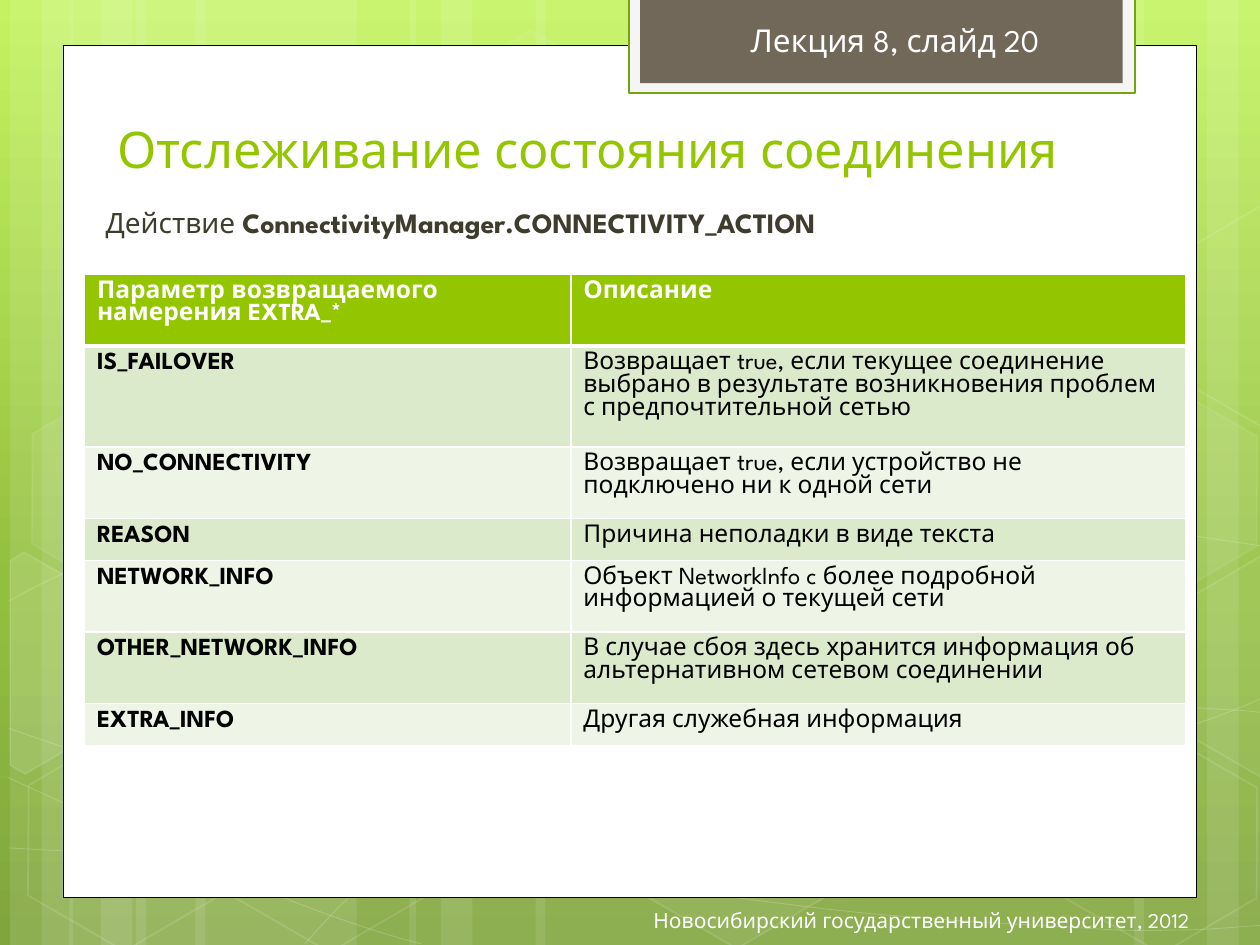
from lxml import etree
from copy import deepcopy
from math import cos, radians, sin
from pptx import Presentation
from pptx.dml.color import RGBColor
from pptx.enum.shapes import MSO_SHAPE
from pptx.enum.text import MSO_ANCHOR, PP_ALIGN
from pptx.oxml.ns import qn
from pptx.util import Inches, Pt

FONT = "League Spartan"
WHITE = RGBColor(0xFF, 0xFF, 0xFF)
BLACK = RGBColor(0, 0, 0)
LIME = RGBColor(0x94, 0xC6, 0x00)
FRAME_GREEN = RGBColor(0x74, 0xA5, 0x10)
TAG_GREY = RGBColor(0xF5, 0xF5, 0xF5)
TAG_BROWN = RGBColor(0x71, 0x68, 0x5A)
BODY_BROWN = RGBColor(0x3E, 0x3D, 0x2D)
BANDS = (RGBColor(0xDC, 0xEA, 0xCC), RGBColor(0xEE, 0xF5, 0xE7))
GRADIENT = ((0, RGBColor(0xC3, 0xF3, 0x5F)), (0.62, RGBColor(0x93, 0xBF, 0x3F)),
            (1, RGBColor(0x81, 0xA5, 0x3E)))

# left, width, rotation
STRIPES = ((1.08, 1.75, 0), (0.08, 0.5, 0), (0.33, 0.83, 0), (1.55, 1.75, 0), (0.55, 0.5, 0),
           (0.8, 0.83, 0), (7.33, 1.75, 180), (9.58, 0.5, 180), (9, 0.83, 180),
           (4.25, 3.08, 0), (3.25, 0.5, 0), (3.5, 0.83, 0))
# Each curve is a start point, then line segments (x, y) or Bezier segments (x1, y1, x2, y2, x, y).
CURVES = (
    ((0.07, 6.73), (0.61, 6.76, 1.15, 6.79, 1.9, 6.78), (2.65, 6.77, 3.58, 6.75, 4.58, 6.65),
     (5.58, 6.55, 7, 6.36, 7.92, 6.17), (8.83, 5.98, 9.77, 5.68, 10.07, 5.51)),
    ((0.07, 4.77), (0.36, 4.61, 0.65, 4.46, 1.21, 4.31), (1.78, 4.16, 2.59, 3.94, 3.47, 3.87),
     (4.36, 3.8, 5.44, 3.79, 6.54, 3.87), (7.64, 3.95, 9.47, 4.26, 10.07, 4.34)),
    ((0.06, 6.17), (1.27, 6.72, 2.47, 7.27, 3.34, 7.49)),
    ((0.07, 5.78), (0.38, 5.89, 0.7, 6, 1.28, 6.16), (1.86, 6.31, 2.73, 6.56, 3.57, 6.73),
     (4.4, 6.9, 5.45, 7.08, 6.28, 7.18), (7.11, 7.29, 8, 7.33, 8.53, 7.36),
     (9.05, 7.4, 9.19, 7.38, 9.45, 7.38), (9.71, 7.37, 9.89, 7.35, 10.07, 7.34)),
    ((2.42, 7.49), (2.6, 7.29, 2.78, 7.09, 3.02, 6.91), (3.26, 6.73, 3.6, 6.53, 3.88, 6.39),
     (4.16, 6.25, 4.33, 6.19, 4.7, 6.09), (5.06, 5.99, 5.73, 5.85, 6.08, 5.78),
     (6.44, 5.71, 6.49, 5.71, 6.8, 5.69), (7.11, 5.66, 7.6, 5.63, 7.94, 5.62),
     (8.29, 5.61, 8.86, 5.62, 8.86, 5.62), (9.53, 5.62),
     (9.71, 5.63, 9.88, 5.64, 9.97, 5.65), (10.06, 5.66, 10.03, 5.65, 10.06, 5.66)),
)
# left, top, fill opacity, line opacity
HEXAGONS = ((3.34, 0.36, 4, 8), (4.97, 5.89, 6, 12), (0.11, 5.91, 0, 12),
            (0.14, 3.12, 7, 8), (1.74, 5.92, 0, 12), (7.53, 4.53, 10, 12),
            (8.34, 5.93, 0, 12), (8.34, 3.14, 7, 8))
# centre of rotation, turned outline, fill opacity
CUT_HEXAGONS = (
    ((0.36, 5.35), ((0.08, 4.45), (0.19, 4.38), (0.96, 4.82), (0.95, 5.7), (0.2, 6.14),
                    (0.08, 6.07)), 10),
    ((9.85, 5.2), ((9.26, 4.85), (10.01, 4.41), (10.09, 4.46), (10.09, 6.13), (10.02, 6.17),
                   (9.26, 5.73)), 4),
    ((9.85, 2.41), ((9.26, 2.07), (10.01, 1.63), (10.1, 1.68), (10.09, 3.35), (10.02, 3.39),
                    (9.26, 2.95)), 0),
)
ROWS = (
    ("Параметр возвращаемого намерения EXTRA_*", "Описание", 0.41),
    ("IS_FAILOVER", "Возвращает true, если текущее соединение выбрано в результате "
     "возникновения проблем с предпочтительной сетью", 0.4),
    ("NO_CONNECTIVITY", "Возвращает true, если устройство не подключено ни к одной сети", 0.31),
    ("REASON", "Причина неполадки в виде текста", 0.32),
    ("NETWORK_INFO", "Объект NetworkInfo c более подробной информацией о текущей сети", 0.32),
    ("OTHER_NETWORK_INFO", "В случае сбоя здесь хранится информация об альтернативном "
     "сетевом соединении", 0.32),
    ("EXTRA_INFO", "Другая служебная информация", 0.32),
)


def set_values(target, **values):
    for name, value in values.items():
        setattr(target, name, value)


def add_run(paragraph, text, size, color, bold=False):
    run = paragraph.add_run()
    run.text = text
    set_values(run.font, name=FONT, size=Pt(size), bold=bold)
    run.font.color.rgb = color


def paint(shape, fill=None, fill_opacity=100, line=None, line_width=1, line_opacity=100):
    shape.shadow.inherit = False
    for part, color, opacity in ((shape.fill, fill, fill_opacity),
                                 (shape.line.fill, line, line_opacity)):
        if color is None or opacity == 0:
            part.background()
            continue
        part.solid()
        part.fore_color.rgb = color
        if opacity < 100:
            parent = shape.line._ln if part is shape.line.fill else shape._element.spPr
            node = parent.find(qn("a:solidFill")).find(qn("a:srgbClr"))
            etree.SubElement(node, qn("a:alpha")).set("val", str(opacity * 1000))
    if line is not None:
        shape.line.width = Pt(line_width)


def add_box(slide, box, kind=MSO_SHAPE.RECTANGLE, **colors):
    shape = slide.shapes.add_shape(kind, *map(Inches, box))
    paint(shape, **colors)
    return shape


def add_outline(slide, origin, points, close, **colors):
    left, top = origin
    placed = [(Inches(left + x), Inches(top + y)) for x, y in points]
    builder = slide.shapes.build_freeform(*placed[0])
    builder.add_line_segments(placed[1:], close=close)
    shape = builder.convert_to_shape()
    paint(shape, **colors)
    return shape


def add_curve(slide, origin, segments, **colors):
    """Draw through all control points, then join each three lines into one Bezier segment."""
    points = [pair for segment in segments for pair in zip(segment[::2], segment[1::2])]
    shape = add_outline(slide, origin, points, False, **colors)
    lines = iter(shape._element.findall(".//" + qn("a:lnTo")))
    for segment in segments[1:]:
        first = next(lines)
        if len(segment) == 6:
            first.tag = qn("a:cubicBezTo")
            for line in (next(lines), next(lines)):
                first.append(line[0])
                line.getparent().remove(line)


def turn_back(points, centre, angle):
    c, s = cos(radians(angle)), sin(radians(angle))
    offsets = [(x - centre[0], y - centre[1]) for x, y in points]
    return [(centre[0] + c * x + s * y, centre[1] - s * x + c * y) for x, y in offsets]


def add_background(slide, box):
    left, top, _, height = box
    fill = slide.background.fill
    fill.gradient()
    fill.gradient_angle = 270
    stops = slide.element.find(".//" + qn("a:gsLst"))
    stops.insert(1, deepcopy(stops[0]))
    for stop, (position, color) in zip(fill.gradient_stops, GRADIENT):
        stop.position = position
        stop.color.rgb = color
    for offset, width, rotation in STRIPES:
        stripe = add_box(slide, (left + offset, top, width, height), fill=WHITE, fill_opacity=10)
        stripe.rotation = rotation
    for curve in CURVES:
        add_curve(slide, (left, top), curve, line=WHITE, line_width=0.5, line_opacity=20)
    for x, y, fill_opacity, line_opacity in HEXAGONS:
        hexagon = add_box(slide, (left + x, top + y, 1.75, 1.52), MSO_SHAPE.HEXAGON, fill=WHITE,
                          fill_opacity=fill_opacity, line=WHITE, line_opacity=line_opacity)
        hexagon.rotation = 30
        hexagon.adjustments[0] = 0.285
    for centre, points, opacity in CUT_HEXAGONS:
        hexagon = add_outline(slide, (left, top), turn_back(points, centre, 30), True, fill=WHITE,
                              fill_opacity=opacity, line=WHITE, line_opacity=12)
        hexagon.rotation = 30


def add_text(slide, box, runs, wrap=True, anchor=MSO_ANCHOR.TOP, align=PP_ALIGN.LEFT):
    frame = slide.shapes.add_textbox(*map(Inches, box)).text_frame
    set_values(frame, word_wrap=wrap, vertical_anchor=anchor)
    paragraph = frame.paragraphs[0]
    paragraph.alignment = align
    for run in runs:
        add_run(paragraph, *run)
    return paragraph


def add_lecture_tag(slide, box):
    left, top, width, height = box
    add_box(slide, box, fill=TAG_GREY, line=FRAME_GREEN, line_width=1.25)
    add_box(slide, (left + 0.09, top, width - 0.19, height - 0.08), fill=TAG_BROWN)


def add_title(slide, box):
    title = slide.shapes.title
    left, top, width, height = map(Inches, box)
    set_values(title, left=left, top=top, width=width, height=height)
    set_values(title.text_frame, vertical_anchor=MSO_ANCHOR.BOTTOM, word_wrap=True)
    paragraph = title.text_frame.paragraphs[0]
    paragraph.alignment = PP_ALIGN.LEFT
    add_run(paragraph, "Отслеживание состояния соединения", 28.8, LIME)
    slide.shapes._spTree.append(title._element)  # in front of the white panel


def add_borders(cell, **widths):
    properties = cell._tc.get_or_add_tcPr()
    for side, width in widths.items():
        line = etree.SubElement(properties, qn("a:ln" + side), w=str(Pt(width)))
        solid = etree.SubElement(line, qn("a:solidFill"))
        etree.SubElement(solid, qn("a:srgbClr"), val=str(WHITE))


def add_parameter_table(slide, box):
    table = slide.shapes.add_table(len(ROWS), 2, *map(Inches, box)).table
    for column, width in zip(table.columns, (3.86, box[2] - 3.86)):
        column.width = Inches(width)
    for index, (*texts, height) in enumerate(ROWS):
        table.rows[index].height = Inches(height)
        header = index == 0
        for column, text in enumerate(texts):
            cell = table.cell(index, column)
            add_borders(cell, L=1, R=1, T=3 if index == 1 else 1, B=3 if header else 1)
            cell.fill.solid()
            cell.fill.fore_color.rgb = LIME if header else BANDS[(index - 1) % 2]
            add_run(cell.text_frame.paragraphs[0], text, 14,
                    WHITE if header else BLACK, header or column == 0)


def main():
    presentation = Presentation()
    set_values(presentation, slide_width=Inches(10), slide_height=Inches(7.5))
    slide = presentation.slides.add_slide(presentation.slide_layouts[5])
    add_background(slide, (0, 0, 10, 7.5))
    add_box(slide, (0.5, 0.36, 9, 6.76), fill=WHITE, line=BLACK, line_width=0.5)
    add_lecture_tag(slide, (4.99, -0.02, 4.02, 0.76))
    add_title(slide, (0.83, 0.92, 8.19, 0.55))
    add_text(slide, (5.86, 0.12, 2.59, 0.4), [("Лекция 8, слайд 20", 18, WHITE)], wrap=False)
    add_text(slide, (3.11, 7.1, 6.43, 0.4),
             [("Новосибирский государственный университет, 2012", 12, WHITE)],
             anchor=MSO_ANCHOR.MIDDLE, align=PP_ALIGN.RIGHT)
    add_parameter_table(slide, (0.67, 2.18, 8.74, 3.73))
    action = add_text(slide, (0.67, 1.58, 8.74, 0.39),
                      [("Действие ", 16, BODY_BROWN),
                       ("ConnectivityManager.CONNECTIVITY_ACTION", 16, BODY_BROWN, True)])
    action._p.get_or_add_pPr().set("marL", str(Inches(0.07)))
    presentation.save("out.pptx")


if __name__ == "__main__":
    main()
